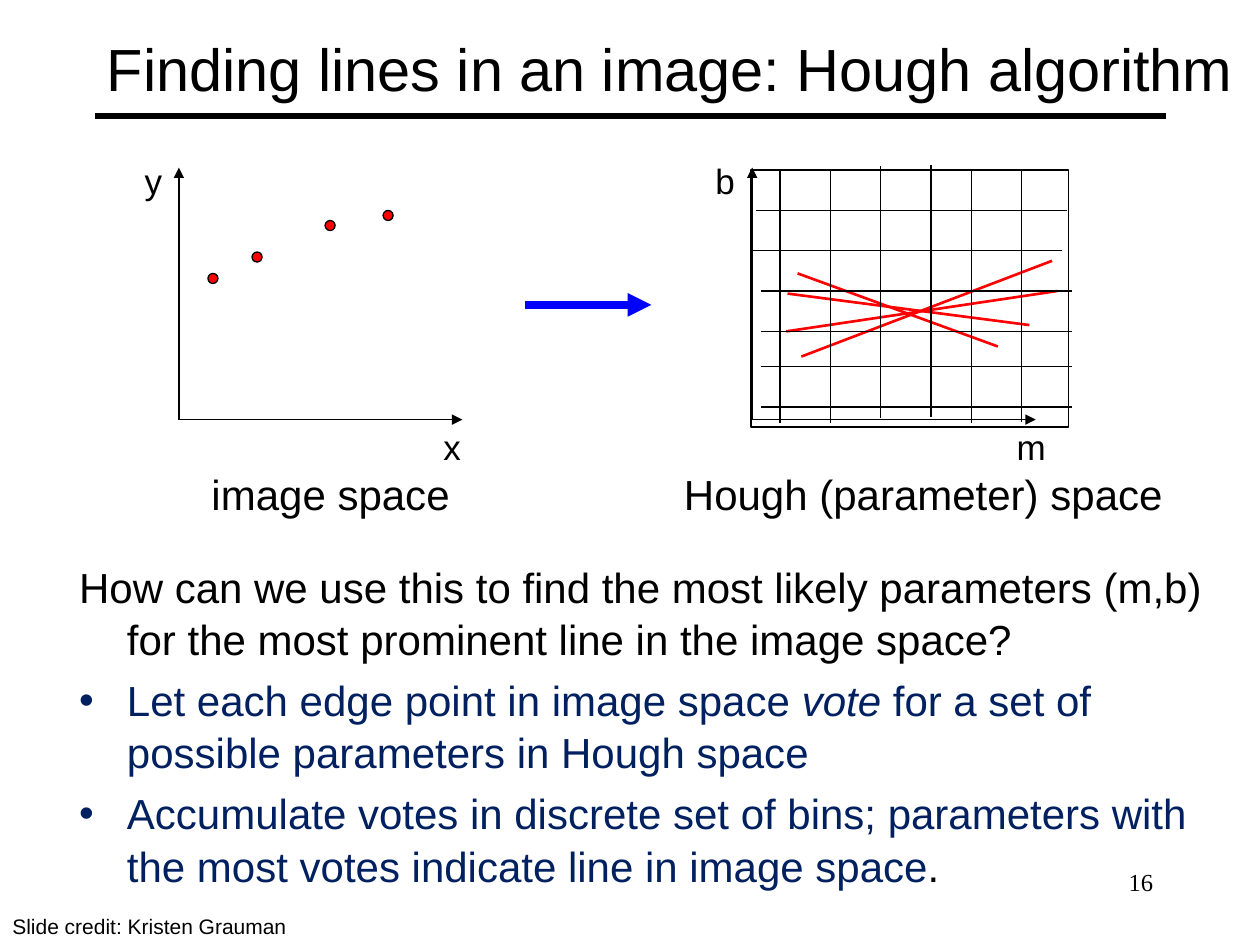
from pptx import Presentation
from pptx.util import Inches, Pt
from pptx.dml.color import RGBColor
from pptx.enum.shapes import MSO_SHAPE as SHAPE, MSO_CONNECTOR as CONN
from pptx.enum.text import PP_ALIGN as ALIGN, MSO_ANCHOR as ANCHOR
from pptx.oxml.ns import qn
from lxml.etree import SubElement

W, H = 10, 7.5
COLORS = dict(black="000000", navy="002060", red="FF0000", blue="0000FF")

TITLE = "Finding lines in an image: Hough algorithm"
# Each paragraph: bullet or None, then runs of (text, color, italic)
BODY = [
    (None, [("How can we use this to find the most likely parameters (m,b) "
             "for the most prominent line in the image space?", "black", False)]),
    ("•", [("Let each edge point in image space ", "navy", False),
           ("vote ", "navy", True),
           ("for a set of possible parameters in Hough space", "navy", False)]),
    ("•", [("Accumulate votes in discrete set of bins; parameters with "
            "the most votes indicate line in image space", "navy", False),
           (".", "black", False)]),
]
LABELS = [  # text, left, top, width, size
    ("x", 3.42, 3.33, 0.34, 20), ("y", 1.05, 1.22, 0.34, 20),
    ("m", 7.97, 3.33, 0.43, 20), ("b", 5.58, 1.22, 0.36, 20),
    ("image space", 1.58, 3.67, 2.09, 24),
    ("Hough (parameter) space", 5.33, 3.67, 4.04, 24),
]
ORIGINS_X = [1.42, 5.97]
AXIS_Y, AXIS_W, AXIS_H = 3.33, 2.25, 2
POINTS = [(2, 2), (2.58, 1.75), (1.65, 2.17), (3.04, 1.67)]
DOT = 0.08
VOTES = [(6.33, 2.17, 7.92, 2.75), (6.25, 2.33, 8.17, 2.58),
         (6.36, 2.83, 8.35, 2.07), (6.24, 2.63, 8.39, 2.31)]
GRID = (5.96, 1.35, 2.52, 2.04)
ROW_LEN, COL_LEN = 2.47, 2
ROWS = [(6, 1.67), (5.96, 1.99)] + [(6.04, y) for y in (2.31, 2.63, 2.91, 3.23)]
COLS = [(6.19, 1.36), (6.59, 1.36), (6.99, 1.32), (7.39, 1.31),
        (7.71, 1.36), (8.11, 1.35)]

prs = Presentation()
prs.slide_width, prs.slide_height = Inches(W), Inches(H)
s = prs.slides.add_slide(prs.slide_layouts[6])


def rgb(name):
    return RGBColor.from_string(COLORS[name])


def add_run(p, text, size=24, color="black", font="Arial", italic=False):
    r = p.add_run()
    r.text = text
    f = r.font
    f.name, f.size, f.italic = font, Pt(size), italic
    f.color.rgb = rgb(color)


def add_box(x, y, w, h, wrap=True, anchor=ANCHOR.TOP):
    tf = s.shapes.add_textbox(*map(Inches, (x, y, w, h))).text_frame
    tf.word_wrap, tf.vertical_anchor = wrap, anchor
    return tf


def add_text(text, x, y, w, h, wrap=True, anchor=ANCHOR.TOP, align=ALIGN.LEFT, **fmt):
    p = add_box(x, y, w, h, wrap, anchor).paragraphs[0]
    p.alignment = align
    add_run(p, text, **fmt)


def add_line(x1, y1, x2, y2, color="black", width=0.75, arrow=False):
    c = s.shapes.add_connector(CONN.STRAIGHT, *map(Inches, (x1, y1, x2, y2)))
    c.line.color.rgb, c.line.width = rgb(color), Pt(width)
    if arrow:
        SubElement(c.line._get_or_add_ln(), qn("a:tailEnd"), type="triangle")
    SubElement(c._element.spPr, qn("a:effectLst"))


def add_shape(kind, x, y, w, h, fill=None):
    sp = s.shapes.add_shape(kind, *map(Inches, (x, y, w, h)))
    sp.shadow.inherit = False
    sp.line.color.rgb, sp.line.width = rgb("black"), Pt(0.75)
    if fill:
        sp.fill.solid()
        sp.fill.fore_color.rgb = rgb(fill)
    else:
        sp.fill.background()


def add_body(x, y, w, h, indent=0.38):
    tf = add_box(x, y, w, h)
    for i, (bullet, runs) in enumerate(BODY):
        p = tf.add_paragraph() if i else tf.paragraphs[0]
        p.space_before, p.line_spacing = Pt(4.8), 1.04
        pPr = p._p.get_or_add_pPr()
        pPr.set("marL", str(Inches(indent)))
        pPr.set("indent", str(-Inches(indent)))
        if bullet:
            SubElement(pPr, qn("a:buFont"), typeface="Arial")
            SubElement(pPr, qn("a:buChar"), char=bullet)
        else:
            SubElement(pPr, qn("a:buNone"))
        for text, color, italic in runs:
            add_run(p, text, color=color, italic=italic)


add_line(0.75, 0.92, 9.25, 0.92, width=3)
add_text(TITLE, 0.75, 0.08, 9.25, 0.92, anchor=ANCHOR.MIDDLE, size=34)
add_body(0.53, 4.39, 9.14, 2.08)

for x in ORIGINS_X:
    add_line(x, AXIS_Y, x, AXIS_Y - AXIS_H, width=1, arrow=True)
    add_line(x, AXIS_Y, x + AXIS_W, AXIS_Y, width=1, arrow=True)
for text, x, y, w, size in LABELS:
    add_text(text, x, y, w, 0.43 if size == 20 else 0.5, wrap=False, size=size)
for x, y in POINTS:
    add_shape(SHAPE.OVAL, x, y, DOT, DOT, fill="red")
add_line(4.17, 2.42, 5.17, 2.42, color="blue", width=4.5, arrow=True)

for vote in VOTES:
    add_line(*vote, color="red", width=1.5)
add_shape(SHAPE.RECTANGLE, *GRID)
for x, y in ROWS:
    add_line(x, y, x + ROW_LEN, y)
for x, y in COLS:
    add_line(x, y, x, y + COL_LEN)

add_text("16", 7.17, 6.83, 2.08, 0.5, align=ALIGN.RIGHT, size=14, font="Times New Roman")
add_text("Slide credit: Kristen Grauman", 0, 7.2, 6.5, 0.3, size=12)

prs.save("out.pptx")
